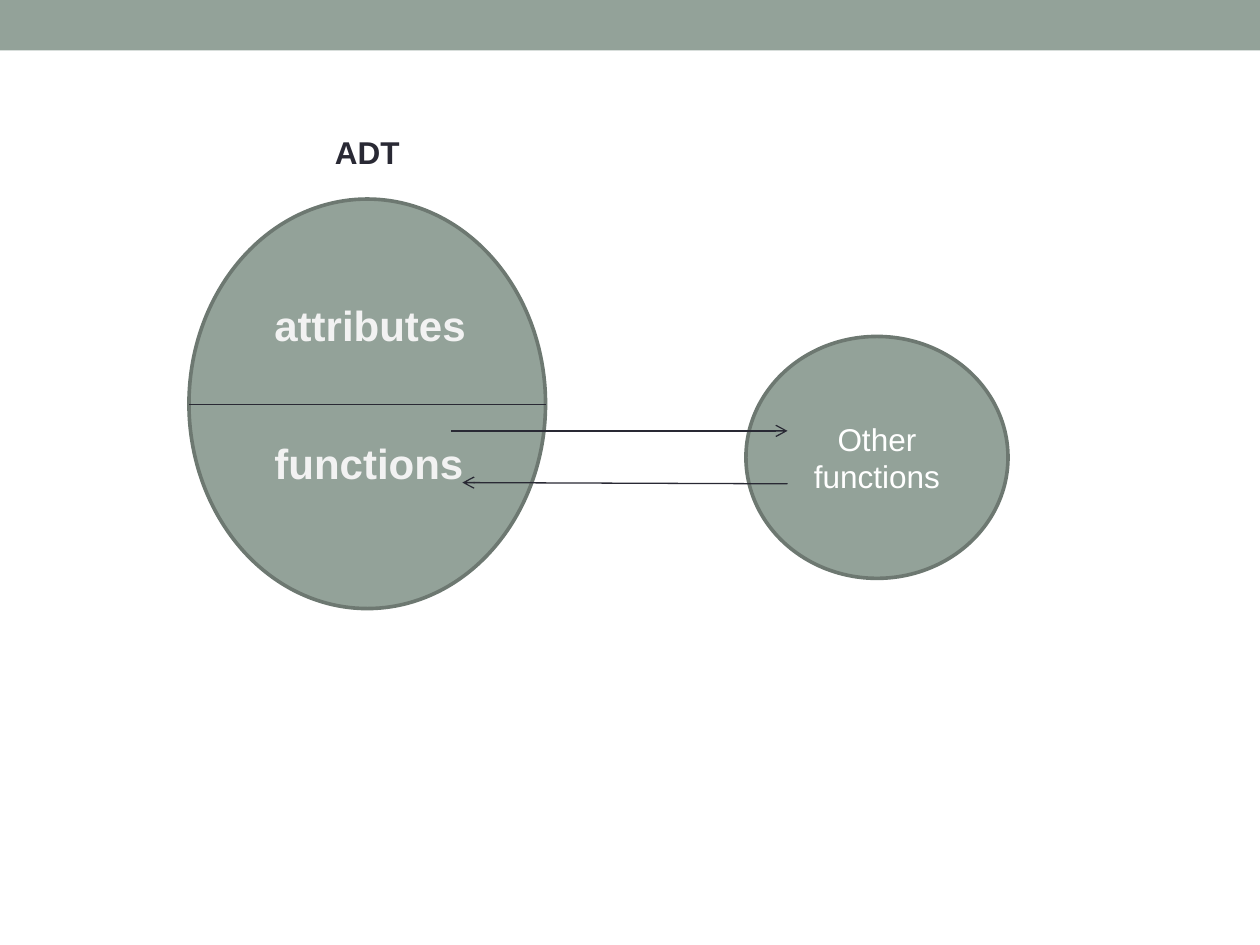
import dataclasses

import pptx
import pptx.dml.color
import pptx.enum.shapes
import pptx.enum.text
import pptx.oxml.xmlchemy
import pptx.util
from lxml import etree
from pptx.oxml.ns import qn
from pptx.util import Inches

SHAPE = pptx.enum.shapes.MSO_SHAPE
ALIGN = pptx.enum.text.PP_ALIGN


@dataclasses.dataclass(frozen=True)
class Theme:
    font: str = "Arial"
    sage: str = "93A299"
    outline: str = "6D7871"
    ink: str = "292934"
    pale: str = "F2F2F2"
    white: str = "FFFFFF"
    label_size: int = 18
    part_size: int = 24
    outline_width: float = 2.08
    line_width: float = 0.75


THEME = Theme()


def color(value):
    return pptx.dml.color.RGBColor.from_string(value)


def write(box, text, size, text_color, bold=False, align=ALIGN.LEFT):
    box.text_frame.word_wrap = True
    para = box.text_frame.paragraphs[0]
    para.text = text
    para.alignment = align
    para.font.name = THEME.font
    para.font.size = pptx.util.Pt(size)
    para.font.bold = bold
    para.font.color.rgb = color(text_color)


def add_filled(page, kind, left, top, width, height, outlined=True):
    shape = page.shapes.add_shape(
        kind, Inches(left), Inches(top), Inches(width), Inches(height))
    shape.shadow.inherit = False
    shape.fill.solid()
    shape.fill.fore_color.rgb = color(THEME.sage)
    if outlined:
        shape.line.color.rgb = color(THEME.outline)
        shape.line.width = pptx.util.Pt(THEME.outline_width)
    else:
        shape.line.fill.background()
    return shape


def add_label(page, text, left, top, width, height, size, text_color, align=ALIGN.LEFT):
    box = page.shapes.add_textbox(
        Inches(left), Inches(top), Inches(width), Inches(height))
    write(box, text, size, text_color, bold=True, align=align)


def add_line(page, start_x, start_y, end_x, end_y, arrow=False):
    line = page.shapes.add_connector(
        pptx.enum.shapes.MSO_CONNECTOR.STRAIGHT,
        Inches(start_x), Inches(start_y), Inches(end_x), Inches(end_y))
    line.line.color.rgb = color(THEME.ink)
    line.line.width = pptx.util.Pt(THEME.line_width)
    if arrow:
        etree.SubElement(line.line._get_or_add_ln(), qn("a:tailEnd"), type="arrow")
    etree.SubElement(line._element.spPr, qn("a:effectLst"))


def main():
    deck = pptx.Presentation()
    deck.slide_width = Inches(10)
    deck.slide_height = Inches(7.5)
    page = deck.slides.add_slide(deck.slide_layouts[6])

    add_filled(page, SHAPE.RECTANGLE, 0, 0, 10, 0.4, outlined=False)
    other = add_filled(page, SHAPE.OVAL, 5.92, 2.67, 2.08, 1.92)
    other.text_frame.vertical_anchor = pptx.enum.text.MSO_ANCHOR.MIDDLE
    write(other, "Other functions", THEME.label_size, THEME.white, align=ALIGN.CENTER)

    add_filled(page, SHAPE.OVAL, 1.5, 1.58, 2.83, 3.25)
    add_line(page, 1.5, 3.21, 4.33, 3.21)
    for text, top in (("attributes", 2.33), ("functions", 3.42)):
        add_label(page, text, 2.08, top, 1.83, 0.5, THEME.part_size, THEME.pale)

    add_line(page, 3.58, 3.42, 6.25, 3.42, arrow=True)
    add_line(page, 6.25, 3.84, 3.67, 3.83, arrow=True)
    add_label(page, "ADT", 1.75, 1.01, 2.33, 0.4,
              THEME.label_size, THEME.ink, align=ALIGN.CENTER)

    deck.save("out.pptx")


if __name__ == "__main__":
    main()
